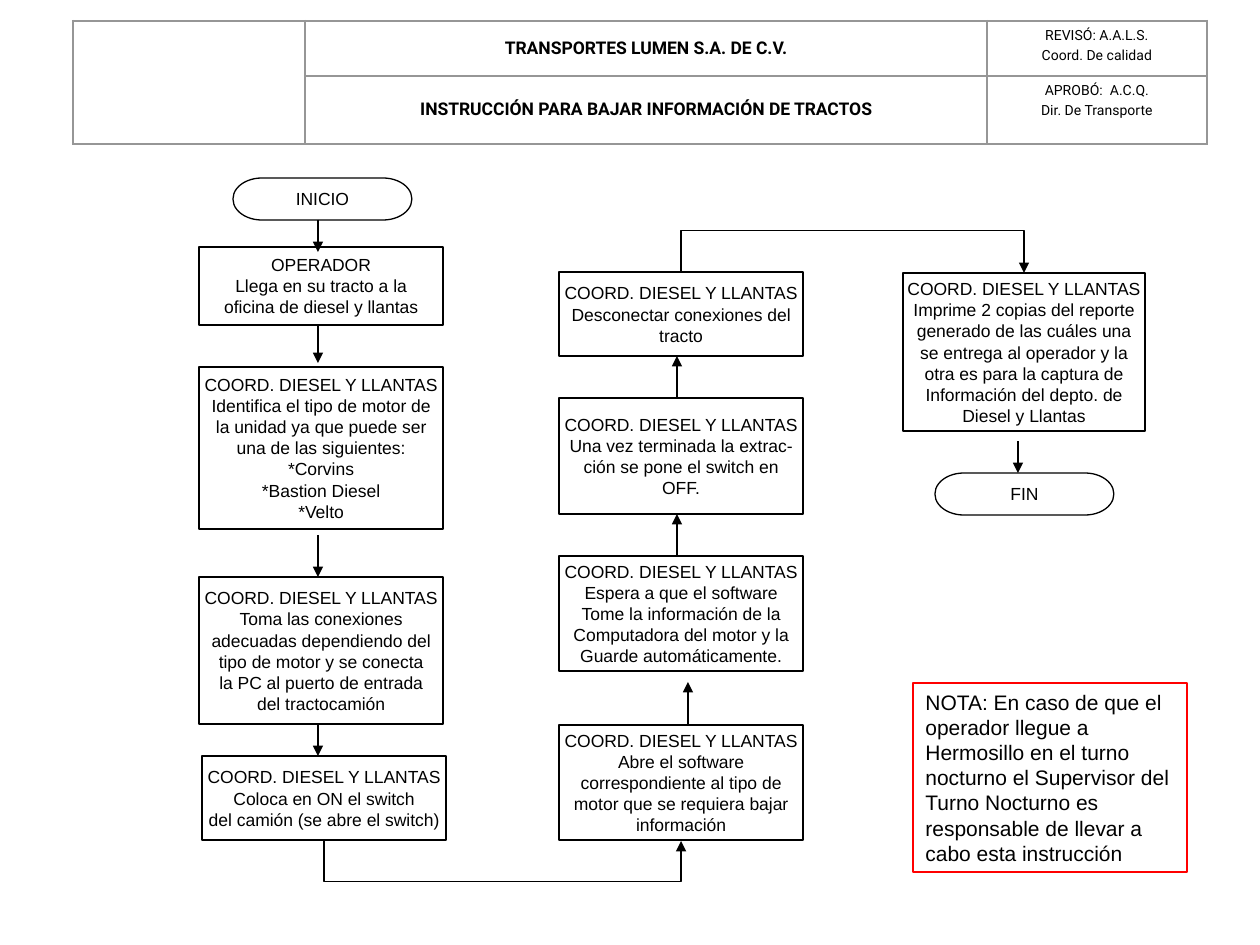
from lxml import etree
from pptx import Presentation
from pptx.dml.color import RGBColor
from pptx.enum.shapes import MSO_CONNECTOR, MSO_SHAPE
from pptx.enum.text import MSO_ANCHOR, MSO_AUTO_SIZE, PP_ALIGN
from pptx.oxml.ns import qn
from pptx.util import Pt

PX = 914400 / 126
STRAIGHT, ELBOW = MSO_CONNECTOR.STRAIGHT, MSO_CONNECTOR.ELBOW
RECT, TERMINATOR = MSO_SHAPE.RECTANGLE, MSO_SHAPE.FLOWCHART_TERMINATOR
TOP, MIDDLE = MSO_ANCHOR.TOP, MSO_ANCHOR.MIDDLE
LEFT, CENTER = PP_ALIGN.LEFT, PP_ALIGN.CENTER
FIT_SHAPE = MSO_AUTO_SIZE.SHAPE_TO_FIT_TEXT
BLACK, WHITE, RED, GRAY = "000000", "FFFFFF", "FF0000", "969696"
BOX_W, END_W, END_H = 244, 179, 42
COORD = "COORD. DIESEL Y LLANTAS"

# Each step: left, top, width, height within its column, then its lines.
COLUMN_1 = [
    (0, 69, BOX_W, 78, ["OPERADOR", "Llega en su tracto a la",
                        "oficina de diesel y llantas"]),
    (0, 189, BOX_W, 162, [COORD, "Identifica el tipo de motor de",
                          "la unidad ya que puede ser", "una de las siguientes:",
                          "*Corvins", "*Bastion Diesel", "*Velto"]),
    (0, 399, BOX_W, 147, [COORD, "Toma las conexiones", "adecuadas dependiendo del",
                          "tipo de motor y se conecta", "la PC al puerto de entrada",
                          "del tractocamión"]),
    (3, 578, BOX_W, 84, [COORD, "Coloca en ON el switch",
                         "del camión (se abre el switch)"]),
]
COLUMN_2 = [
    (0, 453, BOX_W, 115, [COORD, "Abre el software", "correspondiente al tipo de",
                          "motor que se requiera bajar", "información"]),
    (0, 284, BOX_W, 115, [COORD, "Espera a que el software", "Tome la información de la",
                          "Computadora del motor y la", "Guarde automáticamente."]),
    (0, 126, BOX_W, 116, [COORD, "Una vez terminada la extrac-",
                          "ción se pone el switch en", "OFF."]),
    (0, 0, BOX_W, 84, [COORD, "Desconectar conexiones del", "tracto"]),
]
COLUMN_3 = [
    (0, 0, 242, 158, [COORD, "Imprime 2 copias del reporte", "generado de las cuáles una",
                      "se entrega al operador y la", "otra es para la captura de",
                      "Información del depto. de", "Diesel y Llantas"]),
]
# Each arrow: x, start y, end y within its column.
ARROWS_1 = [(119, 42, 74), (119, 147, 185), (119, 357, 399), (119, 546, 578)]
ARROWS_2 = [(129, 453, 410), (118, 284, 242), (118, 126, 84)]
ARROWS_3 = [(115, 168, 200)]


def px(n):
    return round(n * PX)


def color(value):
    return RGBColor.from_string(value)


def write(tf, lines, size, font="Arial", bold=False, align=CENTER, gap=0):
    for i, line in enumerate(lines):
        p = tf.add_paragraph() if i else tf.paragraphs[0]
        p.alignment = align
        p.space_before = Pt(gap if i else 0)
        r = p.add_run()
        r.text = line
        r.font.size = Pt(size)
        r.font.name = font
        r.font.bold = bold
        r.font.color.rgb = color(BLACK)


def add_box(slide, kind, x, y, w, h, line=BLACK):
    sp = slide.shapes.add_shape(kind, px(x), px(y), px(w), px(h))
    sp.shadow.inherit = False
    sp.line.color.rgb = color(line)
    sp.line.width = Pt(0.75)
    return sp


def step(slide, kind, x, y, w, h, lines):
    sp = add_box(slide, kind, x, y, w, h)
    sp.fill.solid()
    sp.fill.fore_color.rgb = color(WHITE)
    tf = sp.text_frame
    tf.word_wrap = False
    tf.vertical_anchor = MIDDLE
    write(tf, lines, 10)


def arrow(slide, x1, y1, x2, y2, kind=STRAIGHT):
    c = slide.shapes.add_connector(kind, px(x1), px(y1), px(x2), px(y2))
    c.line.color.rgb = color(BLACK)
    c.line.width = Pt(0.75)
    etree.SubElement(c.line._get_or_add_ln(), qn("a:tailEnd"), type="triangle")
    etree.SubElement(c.element.spPr, qn("a:effectLst"))
    return c


def loop_arrow(slide, x1, x2, y, rise):
    """Leave (x1, y) vertically by rise, cross over and return to (x2, y + 1)."""
    cx, cy, half = (x1 + x2) / 2, y + 0.5, (x2 - x1) / 2
    c = arrow(slide, cx - 0.5, cy - half, cx + 0.5, cy + half, ELBOW)
    xfrm = c.element.spPr.find(qn("a:xfrm"))
    xfrm.set("rot", "16200000")
    xfrm.set("flipH", "1")
    guides = c.element.spPr.find(qn("a:prstGeom")).get_or_add_avLst()
    etree.SubElement(guides, qn("a:gd"), name="adj1", fmla=f"val {rise * 100000}")


def flow_column(slide, x, y, steps, arrows):
    for dx, dy, w, h, lines in steps:
        step(slide, RECT, x + dx, y + dy, w, h, lines)
    for dx, start, end in arrows:
        arrow(slide, x + dx, y + start, x + dx, y + end)


def border(cell):
    tc_pr = cell._tc.get_or_add_tcPr()
    for i, side in enumerate(("lnL", "lnR", "lnT", "lnB")):
        ln = etree.Element(qn(f"a:{side}"), w=str(Pt(1.47)))
        fill = etree.SubElement(ln, qn("a:solidFill"))
        etree.SubElement(fill, qn("a:srgbClr"), val=GRAY)
        tc_pr.insert(i, ln)


def header(slide, x, y, cols, rows):
    frame = slide.shapes.add_table(len(rows), len(cols), px(x), px(y),
                                   px(sum(cols)), px(sum(rows)))
    table = frame.table
    table.first_row = table.horz_banding = False
    for col, w in zip(table.columns, cols):
        col.width = px(w)
    for row, h in zip(table.rows, rows):
        row.height = px(h)
    table.cell(0, 0).merge(table.cell(1, 0))
    for cell in table.iter_cells():
        cell.fill.background()
        border(cell)
    content = [
        ("TRANSPORTES LUMEN S.A. DE C.V.", ["REVISÓ: A.A.L.S.", "Coord. De calidad"]),
        ("INSTRUCCIÓN PARA BAJAR INFORMACIÓN DE TRACTOS",
         ["APROBÓ:  A.C.Q.", "Dir. De Transporte"]),
    ]
    for i, (title, signature) in enumerate(content):
        middle, right = table.cell(i, 1), table.cell(i, 2)
        middle.vertical_anchor = MIDDLE
        write(middle.text_frame, [title], 10, "Roboto", bold=True)
        write(right.text_frame, signature, 8, "Roboto", gap=2)


def note(slide, x, y, w, h):
    sp = add_box(slide, RECT, x, y, w, h, RED)
    sp.fill.background()
    tf = sp.text_frame
    tf.word_wrap = True
    tf.auto_size = FIT_SHAPE
    tf.vertical_anchor = TOP
    write(tf, ["NOTA: En caso de que el operador llegue a Hermosillo en el turno "
               "nocturno el Supervisor del Turno Nocturno es responsable de llevar a "
               "cabo esta instrucción"], 12, align=LEFT)


def main():
    prs = Presentation()
    prs.slide_width, prs.slide_height = px(1260), px(945)
    slide = prs.slides.add_slide(prs.slide_layouts[6])
    header(slide, 73, 21, [232, 682, 220], [55, 68])
    step(slide, TERMINATOR, 233, 178, END_W, END_H, ["INICIO"])
    step(slide, TERMINATOR, 935, 473, END_W, END_H, ["FIN"])
    flow_column(slide, 199, 178, COLUMN_1, ARROWS_1)
    flow_column(slide, 559, 272, COLUMN_2, ARROWS_2)
    flow_column(slide, 903, 273, COLUMN_3, ARROWS_3)
    loop_arrow(slide, 324, 681, 840, 42)
    loop_arrow(slide, 681, 1024, 272, -42)
    note(slide, 913, 683, 274, 189)
    prs.save("out.pptx")


if __name__ == "__main__":
    main()
